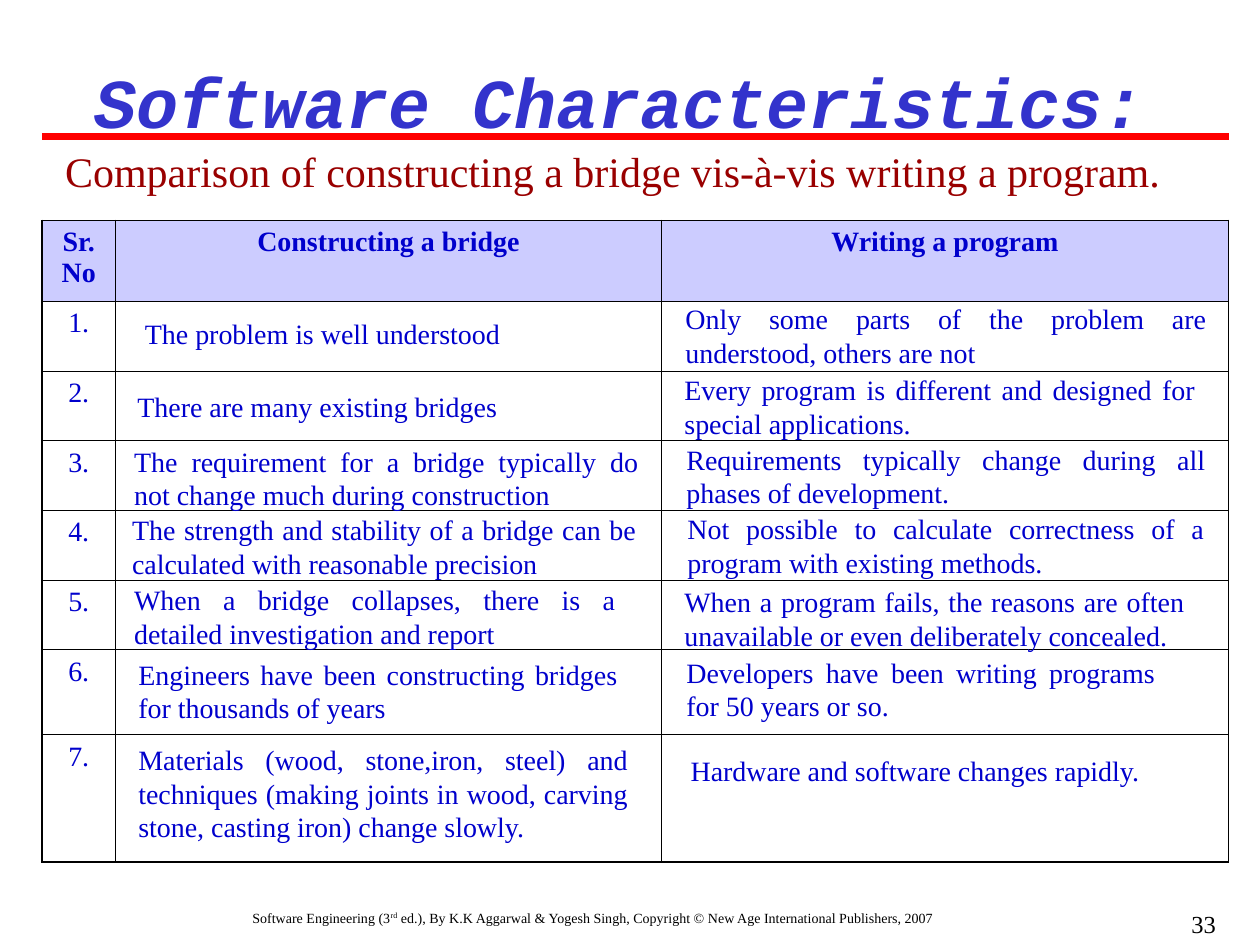
from pptx import Presentation
from pptx.dml.color import RGBColor
from pptx.enum import shapes, text
from pptx.oxml import ns, xmlchemy
from pptx.util import Inches, Pt

LEFT, MID = text.PP_ALIGN.LEFT, text.PP_ALIGN.CENTER
RIGHT, JUST = text.PP_ALIGN.RIGHT, text.PP_ALIGN.JUSTIFY
SERIF, MONO = "Times New Roman", "Courier New"
BLUE, BLACK = "0000CC", "000000"


def hue(code):
    return RGBColor.from_string(code)


def node(tag, **attrs):
    item = xmlchemy.OxmlElement(tag)
    for key, val in attrs.items():
        item.set(key, str(val))
    return item


class Deck:
    """Style and current slide; lengths are cells of a 120 by 90 grid."""

    def __init__(self):
        self.prs = Presentation()
        self.prs.slide_width, self.prs.slide_height = Inches(10), Inches(7.5)
        self.unit = self.prs.slide_width / 120
        self.slide = self.prs.slides.add_slide(self.prs.slide_layouts[1])

    def span(self, *cells):
        return [round(c * self.unit) for c in cells]

    def style(self, par, size, color, align, font=SERIF, bold=False, slant=False):
        par.alignment = align
        par.space_before = Pt(0)
        for run in par.runs:
            face = run.font
            face.name, face.size = font, Pt(size)
            face.bold, face.italic = bold, slant
            face.color.rgb = hue(color)

    def fill(self, shape, words, box, size, color, align, top=0.05, side=0.1,
             lead=None, **look):
        shape.left, shape.top, shape.width, shape.height = self.span(*box)
        frame = shape.text_frame
        frame.text = words
        frame.word_wrap = True
        frame.auto_size = text.MSO_AUTO_SIZE.NONE
        frame.vertical_anchor = text.MSO_ANCHOR.TOP
        frame.margin_left = frame.margin_right = Inches(side)
        frame.margin_top = Inches(top)
        par = frame.paragraphs[0]
        if lead:
            par.line_spacing = Pt(lead * size)
        self.style(par, size, color, align, **look)
        return par

    def title(self, words, box):
        self.fill(self.slide.shapes.title, words, box, 40, "3333CC", MID,
                  top=0.13, lead=1.2, font=MONO, bold=True, slant=True)

    def body(self, words, box):
        par = self.fill(self.slide.placeholders[1], words, box, 24, "990000",
                        LEFT, top=0.07, lead=1.2)
        props = par._p.get_or_add_pPr()
        props.set("marL", "0")
        props.set("indent", "0")
        props.append(node("a:buNone"))

    def note(self, words, box, size, color, align, **look):
        shape = self.slide.shapes.add_textbox(0, 0, 0, 0)
        return self.fill(shape, words, box, size, color, align, **look)

    def edge(self, cell, side, width):
        line = node(f"a:{side}", w=Pt(width))
        solid = node("a:solidFill")
        solid.append(node("a:srgbClr", val=BLACK))
        line.append(solid)
        return line

    def table(self, rows, box, cols, highs):
        grid = self.slide.shapes.add_table(len(rows), len(cols), *self.span(*box)).table
        for col, wide in zip(grid.columns, self.span(*cols)):
            col.width = wide
        for row, high in zip(grid.rows, self.span(*highs)):
            row.height = high
        ends = len(rows) - 1, len(cols) - 1
        for r, row in enumerate(rows):
            for c, words in enumerate(row):
                cell = grid.cell(r, c)
                cell.text = words
                par = cell.text_frame.paragraphs[0]
                par.font.size = Pt(16)
                self.style(par, 16, BLUE, MID, bold=r == 0)
                props = cell._tc.get_or_add_tcPr()
                outer = {"lnL": c == 0, "lnR": c == ends[1],
                         "lnT": r == 0, "lnB": r == ends[0]}
                for side, out in outer.items():
                    props.append(self.edge(cell, side, 1.08 if out else 0.45))
                if r == 0:
                    cell.fill.solid()
                    cell.fill.fore_color.rgb = hue("CCCCFF")
                else:
                    cell.fill.background()

    def rule(self, x, y, end, color, width):
        a, b, c = self.span(x, y, end)
        line = self.slide.shapes.add_connector(shapes.MSO_CONNECTOR.STRAIGHT, a, b, c, b)
        line.line.color.rgb = hue(color)
        line.line.width = Pt(width)
        line._element.find(ns.qn("p:spPr")).append(node("a:effectLst"))


# Table text: words, left, top, width, height, alignment
BRIDGE = [
    ("The problem is well understood", 13.8, 30, 46, 3.2, LEFT),
    ("There are many existing bridges", 11.9, 36.4, 44, 4.4, LEFT),
    ("The requirement for a bridge typically do not change much during construction",
     11.6, 41.6, 50.4, 7.7, JUST),
    ("The strength and stability of a bridge can be calculated with reasonable precision",
     11.4, 48.1, 50.4, 7.7, JUST),
    ("When a bridge collapses, there is a detailed investigation and report",
     11.6, 54.8, 48.2, 7.7, JUST),
    ("Engineers have been constructing bridges for thousands of years",
     12, 61.9, 48, 7.7, JUST),
    ("Materials (wood, stone,iron, steel) and techniques (making joints in wood, "
     "carving stone, casting iron) change slowly.", 12, 70, 49, 10.8, JUST),
]
PROGRAM = [
    ("Only some parts of the problem are understood, others are not",
     64.1, 28, 52, 7.7, JUST),
    ("Every program is different and designed for special applications.",
     64, 34.8, 51, 7.7, JUST),
    ("Requirements typically change during all phases of development.",
     64.2, 41.4, 51.8, 7.7, JUST),
    ("Not possible to calculate correctness of a program with existing methods.",
     64.3, 48, 51.6, 7.7, JUST),
    ("When a program fails, the reasons are often unavailable or even deliberately concealed.",
     64, 55, 50, 7.7, JUST),
    ("Developers have been writing programs for 50 years or so.",
     64.2, 61.7, 47, 7.7, JUST),
    ("Hardware and software changes rapidly.", 64.6, 71, 48, 4.4, LEFT),
]


def main():
    deck = Deck()

    # Heading
    deck.title("Software Characteristics:", (3, 4, 112, 9.2))
    deck.body("Comparison of constructing a bridge vis-à-vis writing a program.",
              (5, 13, 111, 6))

    # Numbered grid
    rows = [("Sr.No", "Constructing a bridge", "Writing a program")]
    rows += [(f"{n}.", "", "") for n in range(1, len(BRIDGE) + 1)]
    high, head, six, last = 61.1, 7.7, 8.1, 12.1
    even = (high - head - six - last) / 5
    deck.table(rows, (4, 21, 113, high), (7, 52, 54), [head] + [even] * 5 + [six, last])

    # Statements over the grid
    for words, *box, align in BRIDGE + PROGRAM:
        bare = words == BRIDGE[0][0]
        deck.note(words, box, 16, BLUE, align, top=0.01 if bare else 0.06,
                  side=0 if bare else 0.1, lead=1.2)

    # Red rule
    deck.rule(4, 13, 117, "FF0000", 4.5)

    # Footer and page number
    foot = deck.note("Software Engineering (3", (3, 86, 107, 4), 8, BLACK, MID)
    for part in ("rd", " ed.), By K.K Aggarwal & Yogesh Singh, "
                 "Copyright © New Age International Publishers, 2007"):
        foot.add_run().text = part
    deck.style(foot, 8, BLACK, MID)
    foot.runs[1].font._element.set("baseline", "30000")
    deck.note("33", (92, 86, 25, 4), 14, BLACK, RIGHT)

    deck.prs.save("out.pptx")


if __name__ == "__main__":
    main()
